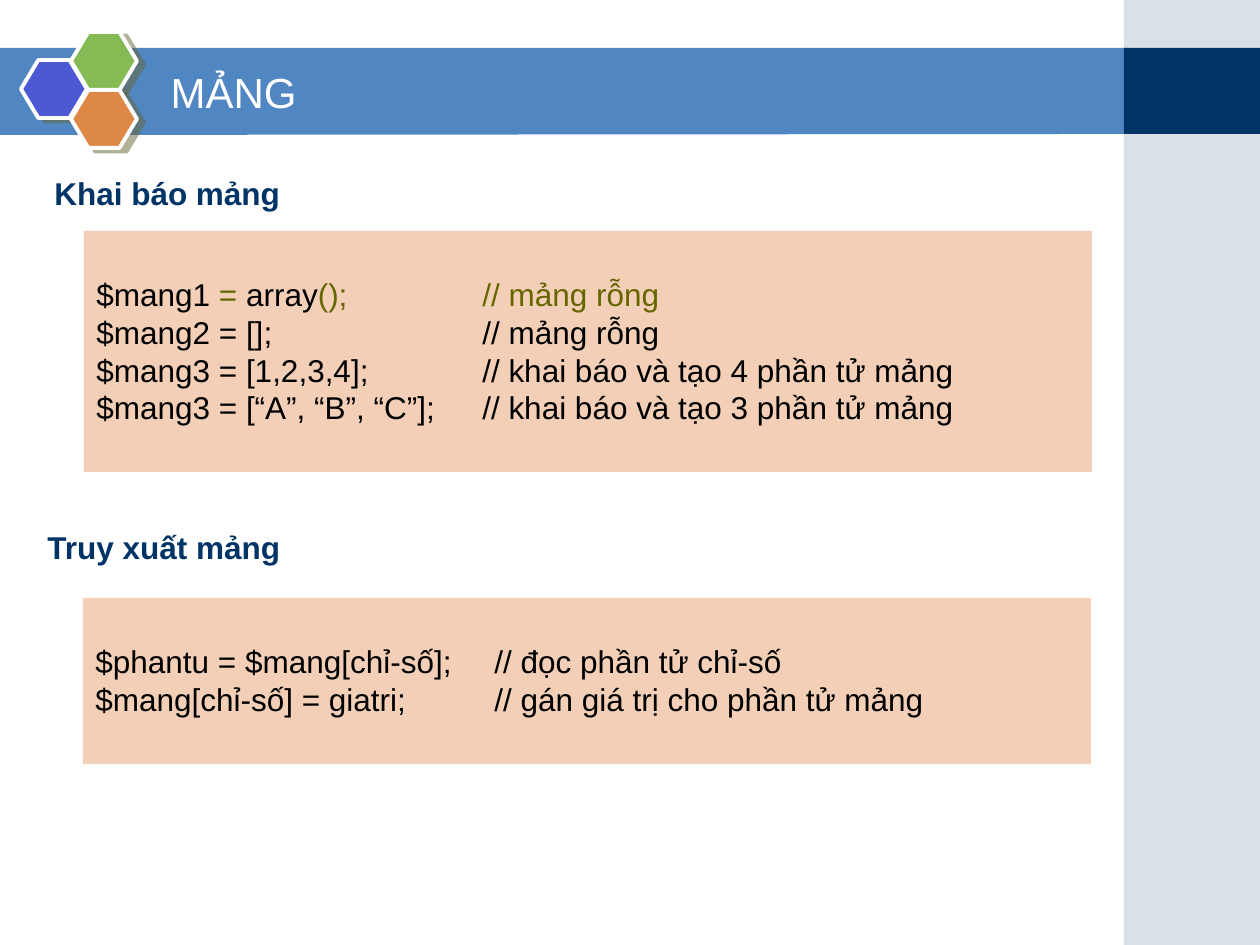
from lxml.etree import SubElement as Sub
from pptx import Presentation
from pptx.dml.color import RGBColor as RGB
from pptx.enum.shapes import MSO_SHAPE as Kind
from pptx.enum.text import MSO_ANCHOR as Anchor, PP_ALIGN as Align
from pptx.oxml.ns import qn
from pptx.util import Pt

PX = 914400 / 126
WHITE = RGB(0xFF, 0xFF, 0xFF)
BLACK = RGB(0, 0, 0)
NAVY = RGB(0x00, 0x33, 0x66)
BLUE = RGB(0x50, 0x86, 0xC2)
MIST = RGB(0xA0, 0xB5, 0xC4)
VIOLET = RGB(0x4C, 0x59, 0xD2)
GREEN = RGB(0x85, 0xBA, 0x54)
ORANGE = RGB(0xDE, 0x88, 0x48)
PEACH = RGB(0xF2, 0xCF, 0xB6)
OLIVE = RGB(0x66, 0x66, 0x00)
SHADE = RGB(0x66, 0x66, 0x33)


def emu(*vals):
    return [round(v * PX) for v in vals]


def style(run, color, **form):
    for key, val in {"name": "Arial", "size": Pt(18), **form}.items():
        setattr(run.font, key, val)
    run.font.color.rgb = color


def paint(shape, color):
    shape.fill.solid()
    shape.fill.fore_color.rgb = color
    shape.line.fill.background()
    shape.shadow.inherit = False
    return shape


def block(slide, kind, box, color):
    return paint(slide.shapes.add_shape(kind, *emu(*box)), color)


def banner(slide, box):
    left, top, wide, high = box
    pen = slide.shapes.build_freeform(left, top, scale=PX)
    pen.add_line_segments([(left + wide, top), (left + wide, top + high - 1),
                           (left, top + high)])
    paint(pen.convert_to_shape(), BLUE)


def side(slide, box, top, high):
    pane = block(slide, Kind.RECTANGLE, box, MIST)
    tint = next(pane._element.spPr.iter(qn("a:srgbClr")))
    Sub(tint, qn("a:alpha"), val="40000")
    block(slide, Kind.RECTANGLE, (box[0], top, box[2], high), NAVY)


def emblem(slide, box):
    left, top, wide, high = box
    cells = ((0, 28, VIOLET), (50, 0, GREEN), (50, 58, ORANGE))
    for dx, dy, color in cells:
        cell = block(slide, Kind.HEXAGON,
                     (left + dx, top + dy, wide - 50, high - 58), color)
        cell.adjustments[0] = 0.3
        cell.line.color.rgb = WHITE
        cell.line.width = Pt(2.25)
        glow = Sub(cell._element.spPr.find(qn("a:effectLst")),
                   qn("a:outerShdw"), blurRad="0", dist=str(Pt(4.5)),
                   dir=str(27 * 60000), algn="ctr", rotWithShape="0")
        tint = Sub(glow, qn("a:srgbClr"), val=str(SHADE))
        Sub(tint, qn("a:alpha"), val="50000")


def title(slide, box, text):
    head = slide.shapes.title
    slide.shapes._spTree.append(head._element)
    for key, val in zip(("left", "top", "width", "height"), emu(*box)):
        setattr(head, key, val)
    frame = head.text_frame
    frame.vertical_anchor = Anchor.MIDDLE
    para = frame.paragraphs[0]
    para.alignment = Align.LEFT
    run = para.add_run()
    run.text = text
    style(run, WHITE, size=Pt(24))


def label(slide, box, text):
    frame = slide.shapes.add_textbox(*emu(*box)).text_frame
    frame.word_wrap = False
    run = frame.paragraphs[0].add_run()
    run.text = text
    style(run, NAVY, bold=True)


def code(slide, box, stop, lines):
    frame = block(slide, Kind.RECTANGLE, box, PEACH).text_frame
    form = {"word_wrap": True, "vertical_anchor": Anchor.TOP,
            "margin_top": emu(44)[0]}
    for key, val in form.items():
        setattr(frame, key, val)
    for num, line in enumerate(lines):
        para = frame.add_paragraph() if num else frame.paragraphs[0]
        para.alignment = Align.LEFT
        tabs = Sub(para._p.get_or_add_pPr(), qn("a:tabLst"))
        Sub(tabs, qn("a:tab"), pos=str(emu(stop)[0]), algn="l")
        for text, color in line:
            run = para.add_run()
            run.text = text
            style(run, color)


def plain(*lines):
    return [[(line, BLACK)] for line in lines]


def main():
    deck = Presentation()
    deck.slide_width, deck.slide_height = emu(1260, 945)
    slide = deck.slides.add_slide(deck.slide_layouts[5])
    banner(slide, (-1, 48, 1129, 87))
    side(slide, (1124, 0, 136, 945), 48, 86)
    emblem(slide, (21, 32, 116, 116))
    title(slide, (158, 53, 1040, 78), "MẢNG")
    label(slide, (35, 522, 261, 50), "Truy xuất mảng")
    label(slide, (42, 168, 253, 50), "Khai báo mảng")
    first = [("$mang1 ", BLACK), ("=", OLIVE), (" array", BLACK),
             ("();\t// mảng rỗng", OLIVE)]
    code(slide, (84, 231, 1008, 241), 386, [first] + plain(
        "$mang2 = [];\t// mảng rỗng",
        "$mang3 = [1,2,3,4];\t// khai báo và tạo 4 phần tử mảng",
        "$mang3 = [“A”, “B”, “C”];\t// khai báo và tạo 3 phần tử mảng"))
    code(slide, (83, 598, 1008, 166), 399, plain(
        "$phantu = $mang[chỉ-số];\t// đọc phần tử chỉ-số",
        "$mang[chỉ-số] = giatri;\t// gán giá trị cho phần tử mảng"))
    deck.save("out.pptx")


if __name__ == "__main__":
    main()
